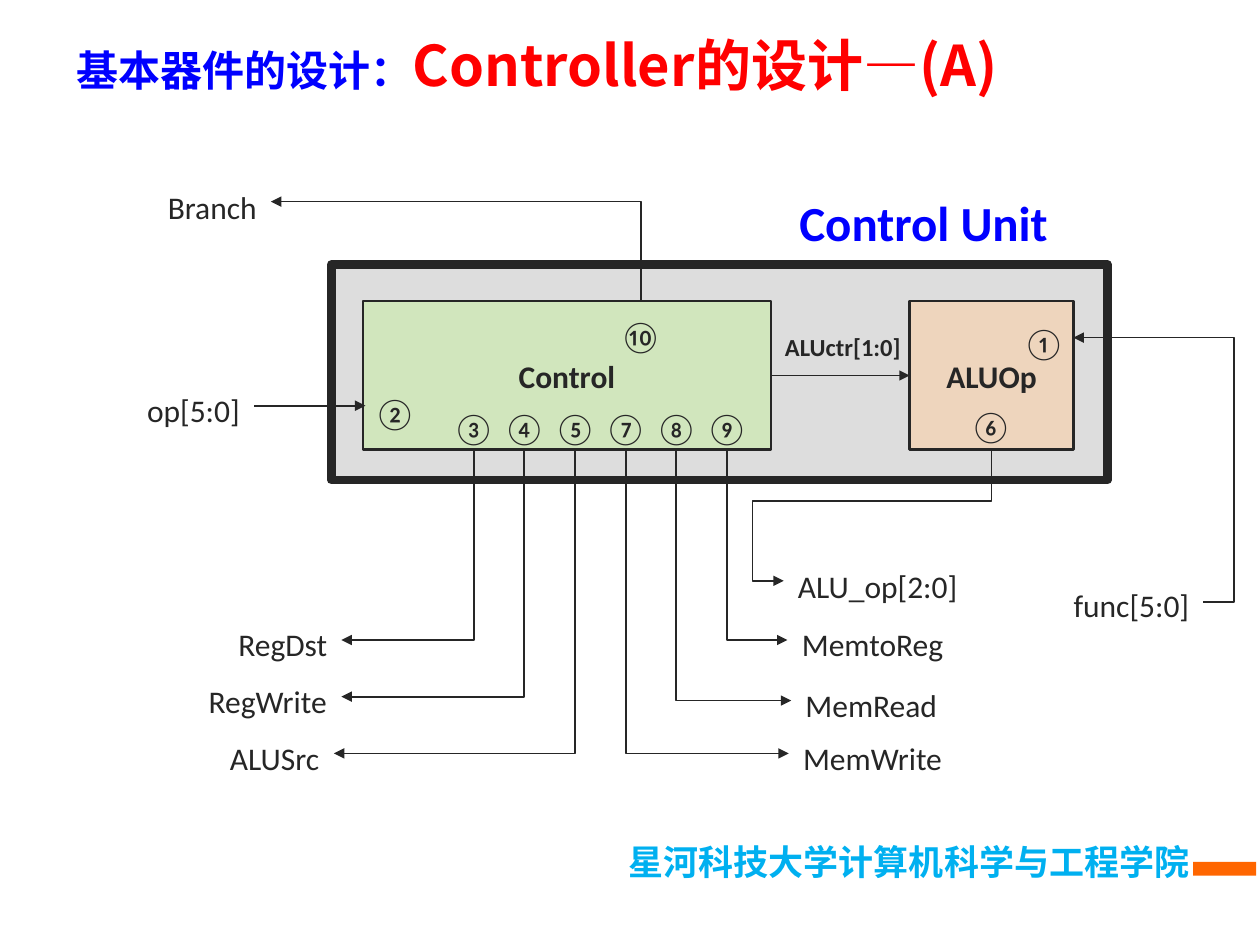
from dataclasses import dataclass

from lxml.etree import SubElement
from pptx import Presentation
from pptx.dml.color import RGBColor
from pptx.enum.shapes import MSO_CONNECTOR as Link, MSO_SHAPE as Preset
from pptx.enum.text import MSO_ANCHOR as Anchor, MSO_AUTO_SIZE as AutoSize, PP_ALIGN as Align
from pptx.oxml.ns import qn
from pptx.util import Inches, Pt


@dataclass(frozen=True)
class Theme:
    ink: str = "262626"
    blue: str = "0000FF"
    red: str = "FF0000"
    sky: str = "00B0F0"
    orange: str = "FF6600"
    gray: str = "BDBDBD"
    green: str = "CAEEA6"
    peach: str = "FBD0A5"
    latin: str = "Calibri"
    chinese: str = "Noto Sans CJK SC"
    heading: str = "Noto Sans CJK JP"
    small: int = 14
    body: int = 18
    footer: int = 20
    topic: int = 24
    unit: int = 28
    title: int = 32


THEME = Theme()
LABEL_HEIGHT = 0.48
NUMBER_WIDTH = 0.55
BLOCK_TOP, BLOCK_HEIGHT = 2.39, 1.18
BLOCK_BOTTOM = BLOCK_TOP + BLOCK_HEIGHT
FIRST_PORT, LAST_PORT = 3.76, 5.77

SIGNALS = [
    ("③", "RegDst", 1.78, 4.84, 0.93),
    ("④", "RegWrite", 1.54, 5.29, 1.17),
    ("⑤", "ALUSrc", 1.71, 5.74, 0.94),
    ("⑦", "MemWrite", 6.26, 5.74, 1.33),
    ("⑧", "MemRead", 6.28, 5.32, 1.27),
    ("⑨", "MemtoReg", 6.25, 4.84, 1.35),
]
OTHER_NUMBERS = [("①", 8.01, 2.45), ("⑩", 4.81, 2.39), ("②", 2.86, 3), ("⑥", 7.59, 3.11)]
OTHER_LABELS = [
    ("Branch", 1.22, 1.37, 0.93),
    ("ALU_op[2:0]", 6.22, 4.38, 1.49),
    ("func[5:0]", 8.41, 4.53, 1.14),
    ("op[5:0]", 1.04, 2.98, 0.99),
]


def style(font, size, color=THEME.ink, bold=False, name=THEME.latin):
    font.size, font.bold, font.name = Pt(size), bold, name
    font.color.rgb = RGBColor.from_string(color)


def set_east_asian(span, name):
    SubElement(span._r.get_or_add_rPr(), qn("a:ea")).set("typeface", name)


def add_text_box(page, left, top, width, height, wrap=False):
    box = page.shapes.add_textbox(Inches(left), Inches(top), Inches(width), Inches(height))
    box.text_frame.word_wrap = wrap
    return box.text_frame


def add_label(page, text, left, top, width, height=LABEL_HEIGHT, size=THEME.body, color=THEME.ink, bold=False):
    frame = add_text_box(page, left, top, width, height)
    frame.margin_left = frame.margin_right = Inches(0.11)
    frame.auto_size = AutoSize.SHAPE_TO_FIT_TEXT
    para = frame.paragraphs[0]
    para.text, para.alignment, para.line_spacing = text, Align.CENTER, 1.25
    style(para.font, size, color, bold)


def add_block(page, left, top, width, height, fill, opacity=100, border=0, text=""):
    block = page.shapes.add_shape(Preset.RECTANGLE, Inches(left), Inches(top), Inches(width), Inches(height))
    block.shadow.inherit = False
    block.fill.solid()
    block.fill.fore_color.rgb = RGBColor.from_string(fill)
    if opacity < 100:
        color = block._element.spPr.find(f".//{qn('a:srgbClr')}")
        SubElement(color, qn("a:alpha")).set("val", str(opacity * 1000))
    if border:
        block.line.color.rgb = RGBColor.from_string(THEME.ink)
        block.line.width = Pt(border)
    else:
        block.line.fill.background()
    if text:
        frame = block.text_frame
        frame.margin_left = frame.margin_right = frame.margin_top = frame.margin_bottom = 0
        frame.vertical_anchor = Anchor.MIDDLE
        para = frame.paragraphs[0]
        para.text, para.alignment = text, Align.CENTER
        style(para.font, THEME.body, bold=True)
    return block


def add_wire(page, start, end, arrow, kind=Link.STRAIGHT):
    points = [Inches(value) for value in (*start, *end)]
    wire = page.shapes.add_connector(kind, *points)
    wire.line.color.rgb = RGBColor.from_string(THEME.ink)
    wire.line.width = Pt(1)
    SubElement(wire.line._get_or_add_ln(), qn(arrow)).set("type", "triangle")
    SubElement(wire._element.spPr, qn("a:effectLst"))
    return wire


def add_bent_wire(page, tip, port, bends=()):
    wire = add_wire(page, tip, port, "a:headEnd", Link.ELBOW)
    geometry = wire._element.spPr.find(qn("a:prstGeom"))
    geometry.set("prst", f"bentConnector{len(bends) + 2}")
    guides = geometry.find(qn("a:avLst"))
    for number, bend in enumerate(bends, 1):
        guide = SubElement(guides, qn("a:gd"))
        guide.set("name", f"adj{number}")
        guide.set("fmla", f"val {round(bend * 100000)}")


def add_title(page):
    frame = add_text_box(page, 0.51, 0.13, 8.79, 0.75, wrap=True)
    frame.vertical_anchor = Anchor.MIDDLE
    for text, size, color, name in (
        ("基本器件的设计：", THEME.topic, THEME.blue, THEME.chinese),
        ("Controller的设计—(A)", THEME.title, THEME.red, THEME.heading),
    ):
        span = frame.paragraphs[0].add_run()
        span.text = text
        style(span.font, size, color, True, name)
        set_east_asian(span, name)


def add_footer(page):
    para = add_text_box(page, 0.82, 6.62, 8.72, 0.44).paragraphs[0]
    para.alignment = Align.RIGHT
    span = para.add_run()
    span.text = "星河科技大学计算机科学与工程学院"
    style(span.font, THEME.footer, THEME.sky, True, THEME.chinese)
    set_east_asian(span, THEME.chinese)
    add_block(page, 9.47, 6.84, 0.5, 0.11, THEME.orange)


def add_signals(page):
    step = (LAST_PORT - FIRST_PORT) / (len(SIGNALS) - 1)
    for index, (number, name, left, top, width) in enumerate(SIGNALS):
        port = FIRST_PORT + index * step
        tip = left + width if left < port else left
        add_label(page, number, port - NUMBER_WIDTH / 2, 3.12, NUMBER_WIDTH)
        add_label(page, name, left, top, width)
        add_bent_wire(page, (tip, top + LABEL_HEIGHT / 2), (port, BLOCK_BOTTOM))


def main():
    deck = Presentation()
    deck.slide_width, deck.slide_height = Inches(10), Inches(7.5)
    page = deck.slides.add_slide(deck.slide_layouts[6])
    add_footer(page)
    add_title(page)
    add_block(page, 2.63, 2.1, 6.16, 1.71, THEME.gray, 51, 5)
    alu = add_block(page, 7.22, BLOCK_TOP, 1.3, BLOCK_HEIGHT, THEME.peach, 57, 1.5, "ALUOp")
    control = add_block(page, 2.88, BLOCK_TOP, 3.24, BLOCK_HEIGHT, THEME.green, 58, 1.5, "Control")
    add_signals(page)
    for number, left, top in OTHER_NUMBERS:
        add_label(page, number, left, top, NUMBER_WIDTH)
    for label in OTHER_LABELS:
        add_label(page, *label)
    add_label(page, "ALUctr[1:0]", 6.12, 2.53, 1.14, 0.4, THEME.small, bold=True)
    add_label(page, "Control Unit", 6.23, 1.36, 2.2, 0.69, THEME.unit, THEME.blue, True)
    add_bent_wire(page, (2.15, 1.6), (5.09, BLOCK_TOP))
    add_bent_wire(page, (6.22, 4.61), (7.87, BLOCK_BOTTOM), (-0.15, 0.61))
    add_bent_wire(page, (8.52, 2.68), (9.55, 4.78), (1.24,))
    add_wire(page, (2.02, 3.22), (2.9, 3.22), "a:tailEnd")
    bus = add_wire(page, (6.12, 2.98), (7.22, 2.98), "a:tailEnd")
    bus.begin_connect(control, 3)
    bus.end_connect(alu, 1)
    deck.save("out.pptx")


if __name__ == "__main__":
    main()
